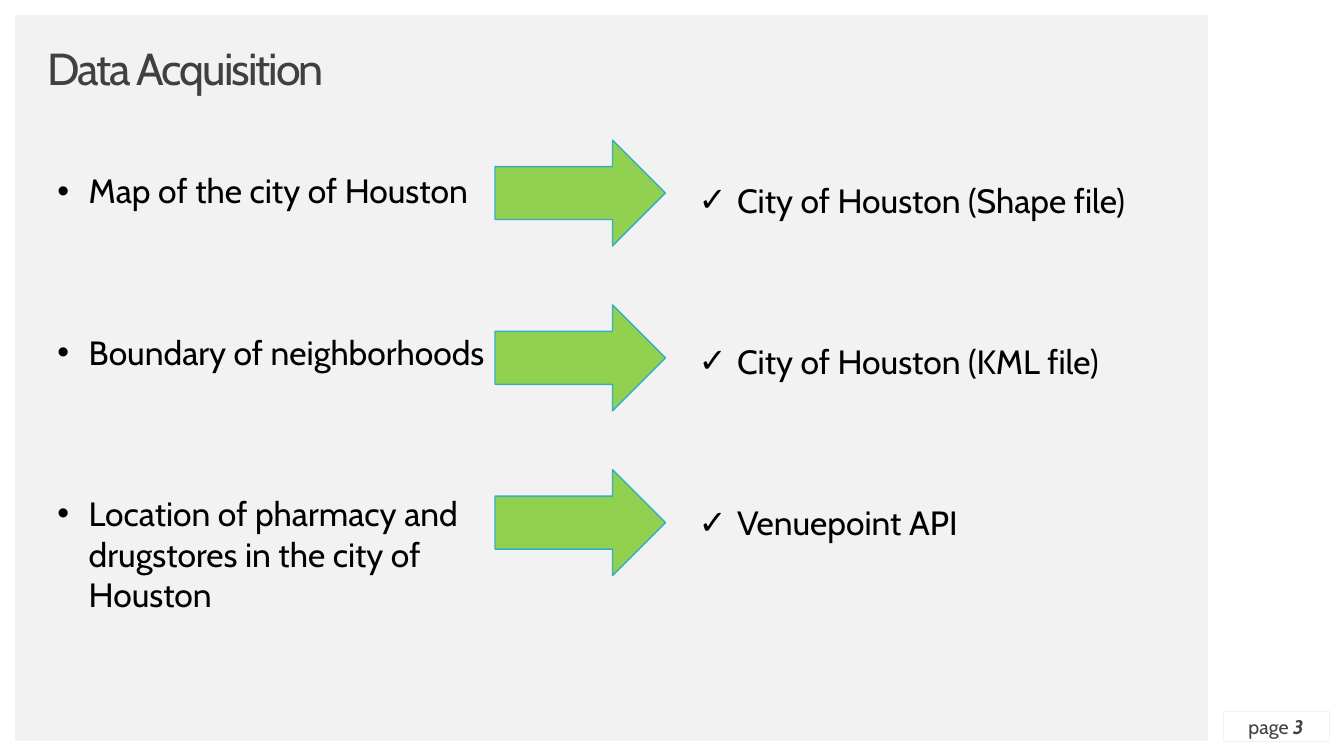
from dataclasses import dataclass

from lxml.etree import SubElement
from pptx import Presentation
from pptx.dml.color import RGBColor
from pptx.enum.shapes import MSO_SHAPE
from pptx.enum.text import MSO_ANCHOR, MSO_AUTO_SIZE, PP_ALIGN
from pptx.oxml.ns import qn
from pptx.util import Inches, Pt


@dataclass(frozen=True)
class Theme:
    """Colours, font and type sizes of the deck."""
    font: str = "Cabin"
    back: str = "F2F2F2"
    white: str = "FFFFFF"
    black: str = "000000"
    grey: str = "404040"
    green: str = "92D050"
    teal: str = "31B0C1"
    head: int = 32
    body: int = 24
    page: int = 14


THEME = Theme()
WIDE, HIGH = 13.33, 7.5
NEEDS = [
    "Map of the city of Houston",
    "Boundary of neighborhoods",
    "Location of pharmacy and drugstores in the city of Houston",
]
FILES = [
    "City of Houston (Shape file)",
    "City of Houston (KML file)",
    "Venuepoint API",
]


def color(code):
    """Turn a hex code into a colour."""
    return RGBColor.from_string(code)


def place(shape, box):
    """Move a shape to a box given in inches."""
    shape.left, shape.top, shape.width, shape.height = map(Inches, box)


def write(para, text, size, ink=THEME.black, bold=False, slant=False, track=None):
    """Add a formatted run to a paragraph."""
    run = para.add_run()
    run.text = text
    font = run.font
    font.name, font.size = THEME.font, Pt(size)
    font.bold, font.italic = bold, slant
    font.color.rgb = color(ink)
    if track is not None:
        run._r.get_or_add_rPr().set("spc", str(int(track * 100)))


def frame(shape, anchor, inset=None):
    """Set wrapping, anchor and insets, and return the text frame."""
    text = shape.text_frame
    text.word_wrap = True
    text.auto_size = MSO_AUTO_SIZE.NONE
    text.vertical_anchor = anchor
    if inset is not None:
        text.margin_left = text.margin_right = Inches(inset)
        text.margin_top = text.margin_bottom = Inches(inset)
    return text


def draw(slide, kind, box, fill=None, line=None, weight=1):
    """Add a flat preset shape."""
    shape = slide.shapes.add_shape(kind, *map(Inches, box))
    shape.shadow.inherit = False
    if fill:
        shape.fill.solid()
        shape.fill.fore_color.rgb = color(fill)
    else:
        shape.fill.background()
    if line:
        shape.line.color.rgb = color(line)
        shape.line.width = Pt(weight)
    else:
        shape.line.fill.background()
    return shape


def border(slide, box, edge=0.15, right=1.35):
    """Draw the white margins around the grey panel."""
    left, top, width, height = box
    for part in (
        (left, top, width, edge),
        (left, top, edge, height),
        (left + width - right, top, right, height),
        (left, top + height - edge, width, edge),
    ):
        draw(slide, MSO_SHAPE.RECTANGLE, part, fill=THEME.white)


def title(shape, box, text):
    """Fill the title placeholder."""
    place(shape, box)
    para = frame(shape, MSO_ANCHOR.MIDDLE, inset=0).paragraphs[0]
    para.alignment = PP_ALIGN.LEFT
    para.line_spacing = 0.9
    write(para, text, THEME.head, ink=THEME.grey, track=-1.5)


def bullets(shape, box, items, mark, indent, gap=86.5):
    """Fill a body placeholder with a widely spaced list."""
    place(shape, box)
    text = frame(shape, MSO_ANCHOR.TOP)
    for row, item in enumerate(items):
        para = text.add_paragraph() if row else text.paragraphs[0]
        para.line_spacing = 1.0
        para.space_before = Pt(gap if row else 0)
        para.space_after = Pt(0)
        props = para._p.get_or_add_pPr()
        props.set("marL", str(Inches(indent)))
        props.set("indent", str(-Inches(indent)))
        SubElement(props, qn("a:buChar")).set("char", mark)
        write(para, item, THEME.body)


def arrows(slide, box, count, size=1.05):
    """Spread arrows evenly down a box."""
    left, top, width, height = box
    step = (height - size) / (count - 1)
    for row in range(count):
        draw(slide, MSO_SHAPE.RIGHT_ARROW, (left, top + row * step, width, size),
             fill=THEME.green, line=THEME.teal)


def page(slide, box, number):
    """Draw the page number box."""
    shape = draw(slide, MSO_SHAPE.RECTANGLE, box, line=THEME.back, weight=0.25)
    para = frame(shape, MSO_ANCHOR.MIDDLE, inset=0).paragraphs[0]
    para.alignment = PP_ALIGN.CENTER
    write(para, "page ", THEME.page, ink=THEME.grey)
    write(para, str(number), THEME.page, ink=THEME.grey, bold=True, slant=True)


def main():
    """Build the slide and save the deck."""
    deck = Presentation()
    deck.slide_width, deck.slide_height = Inches(WIDE), Inches(HIGH)
    slide = deck.slides.add_slide(deck.slide_layouts[3])
    slide.background.fill.solid()
    slide.background.fill.fore_color.rgb = color(THEME.back)
    head, needs, files = slide.placeholders

    border(slide, (0, 0, WIDE, HIGH))
    title(head, (0.47, 0.47, 11.09, 0.47), "Data Acquisition")
    page(slide, (12.13, 7.06, 1.05, 0.29), 3)
    bullets(needs, (0.47, 1.64, 4.84, 5.15), NEEDS, "•", 0.31)
    bullets(files, (6.83, 1.73, 5.48, 4.04), FILES, "✓", 0.38)
    arrows(slide, (4.91, 1.39, 1.69, 4.32), len(NEEDS))
    deck.save("out.pptx")


if __name__ == "__main__":
    main()
